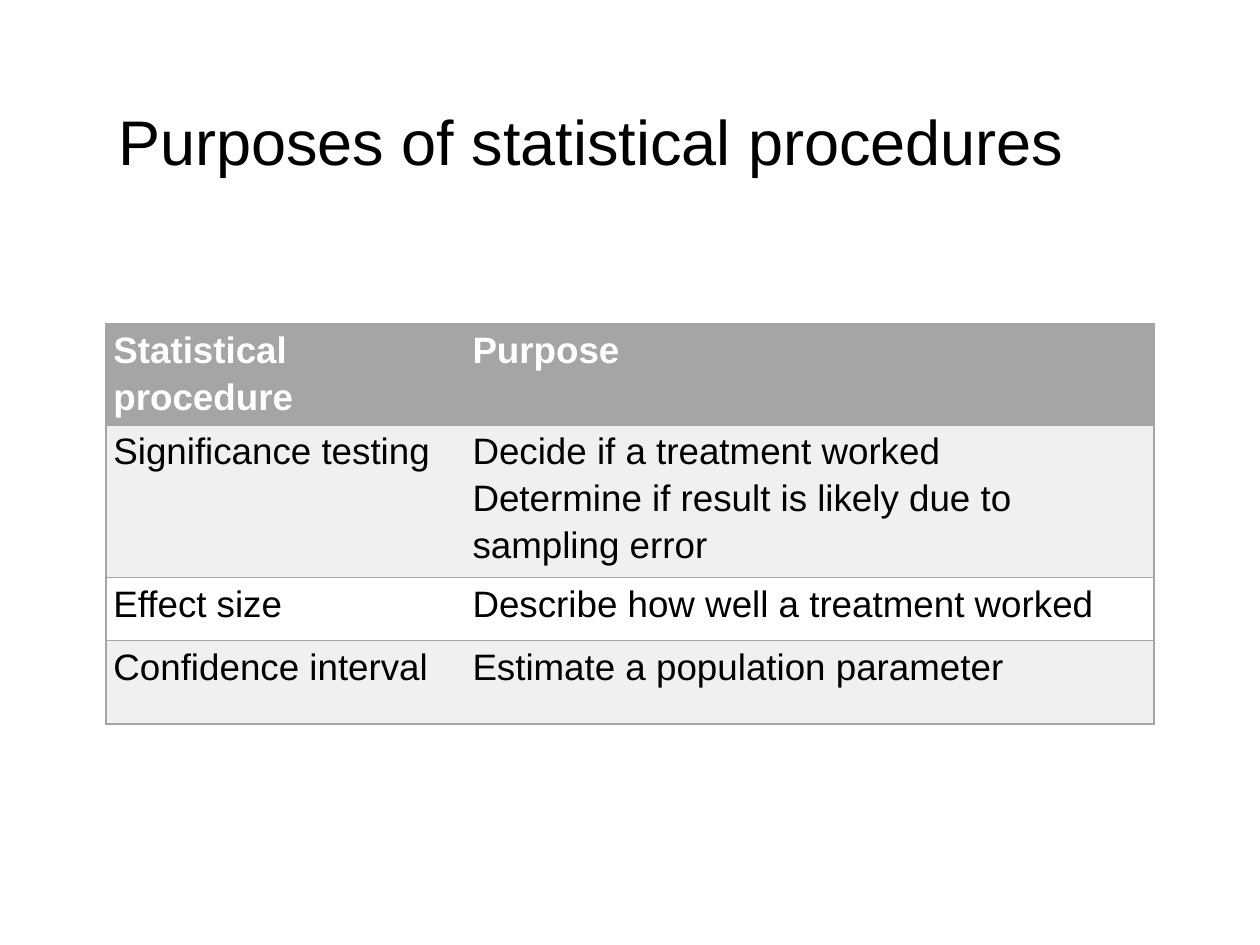
import dataclasses

import pptx
import pptx.dml.color
import pptx.enum.text
import pptx.oxml
import pptx.oxml.ns
import pptx.util

Inches = pptx.util.Inches


@dataclasses.dataclass(frozen=True)
class Theme:
    font: str = "Arial"
    text: str = "000000"
    header_text: str = "FFFFFF"
    accent: str = "A5A5A5"
    bands: tuple = ("F0F0F0", "FFFFFF")
    title_size: int = 36
    table_size: int = 21
    border: int = 1


THEME = Theme()

COLUMN_WIDTHS = (2.85, 5.47)
ROW_HEIGHTS = (0.66, 1.21, 0.5, 0.66)
ROWS = (
    (["Statistical procedure"], ["Purpose"]),
    (["Significance testing"],
     ["Decide if a treatment worked",
      "Determine if result is likely due to sampling error"]),
    (["Effect size"], ["Describe how well a treatment worked"]),
    (["Confidence interval"], ["Estimate a population parameter"]),
)


def rgb(value):
    return pptx.dml.color.RGBColor.from_string(value)


def set_all(obj, values):
    for name, value in values.items():
        setattr(obj, name, value)


def write_paragraphs(tf, lines, spacing, size, color, bold=False):
    for i, line in enumerate(lines):
        p = tf.add_paragraph() if i else tf.paragraphs[0]
        p.line_spacing = spacing
        r = p.add_run()
        r.text = line
        set_all(r.font, {"name": THEME.font, "size": pptx.util.Pt(size), "bold": bold})
        r.font.color.rgb = rgb(color)


def add_title(s, text):
    sp = s.shapes.add_textbox(Inches(0.84), Inches(0.43), Inches(8.62), Inches(1.45))
    tf = sp.text_frame
    set_all(tf, {"word_wrap": True,
                 "vertical_anchor": pptx.enum.text.MSO_ANCHOR.MIDDLE})
    write_paragraphs(tf, [text], 0.9, THEME.title_size, THEME.text)


def set_borders(cell, sides):
    tc_pr = cell._tc.get_or_add_tcPr()
    for side in "LRTB":
        if side in sides:
            width = pptx.util.Pt(THEME.border)
            fill = f'<a:solidFill><a:srgbClr val="{THEME.accent}"/></a:solidFill>'
        else:
            width, fill = 0, "<a:noFill/>"
        tc_pr.append(pptx.oxml.parse_xml(
            f'<a:ln{side} {pptx.oxml.ns.nsdecls("a")} w="{width}">{fill}</a:ln{side}>'))


def add_procedure_table(s):
    table = s.shapes.add_table(
        len(ROWS), len(COLUMN_WIDTHS), Inches(0.84), Inches(2.57),
        Inches(sum(COLUMN_WIDTHS)), Inches(sum(ROW_HEIGHTS))).table
    for column, width in zip(table.columns, COLUMN_WIDTHS):
        column.width = Inches(width)
    for i, (row, height) in enumerate(zip(ROWS, ROW_HEIGHTS)):
        table.rows[i].height = Inches(height)
        header = i == 0
        fill = THEME.accent if header else THEME.bands[(i - 1) % 2]
        color = THEME.header_text if header else THEME.text
        for j, lines in enumerate(row):
            cell = table.cell(i, j)
            set_all(cell, {"margin_left": Inches(0.06), "margin_right": Inches(0.06),
                           "margin_top": 0, "margin_bottom": 0})
            # Outline and row rules only, no rule between the columns
            set_borders(cell, "LTB" if j == 0 else "RTB")
            cell.fill.solid()
            cell.fill.fore_color.rgb = rgb(fill)
            write_paragraphs(cell.text_frame, lines, 1.15, THEME.table_size, color, header)


def main():
    prs = pptx.Presentation()
    set_all(prs, {"slide_width": Inches(10), "slide_height": Inches(7.5)})
    s = prs.slides.add_slide(prs.slide_layouts[6])
    # Heading
    add_title(s, "Purposes of statistical procedures")
    # Procedures and their purposes
    add_procedure_table(s)
    prs.save("out.pptx")


if __name__ == "__main__":
    main()
